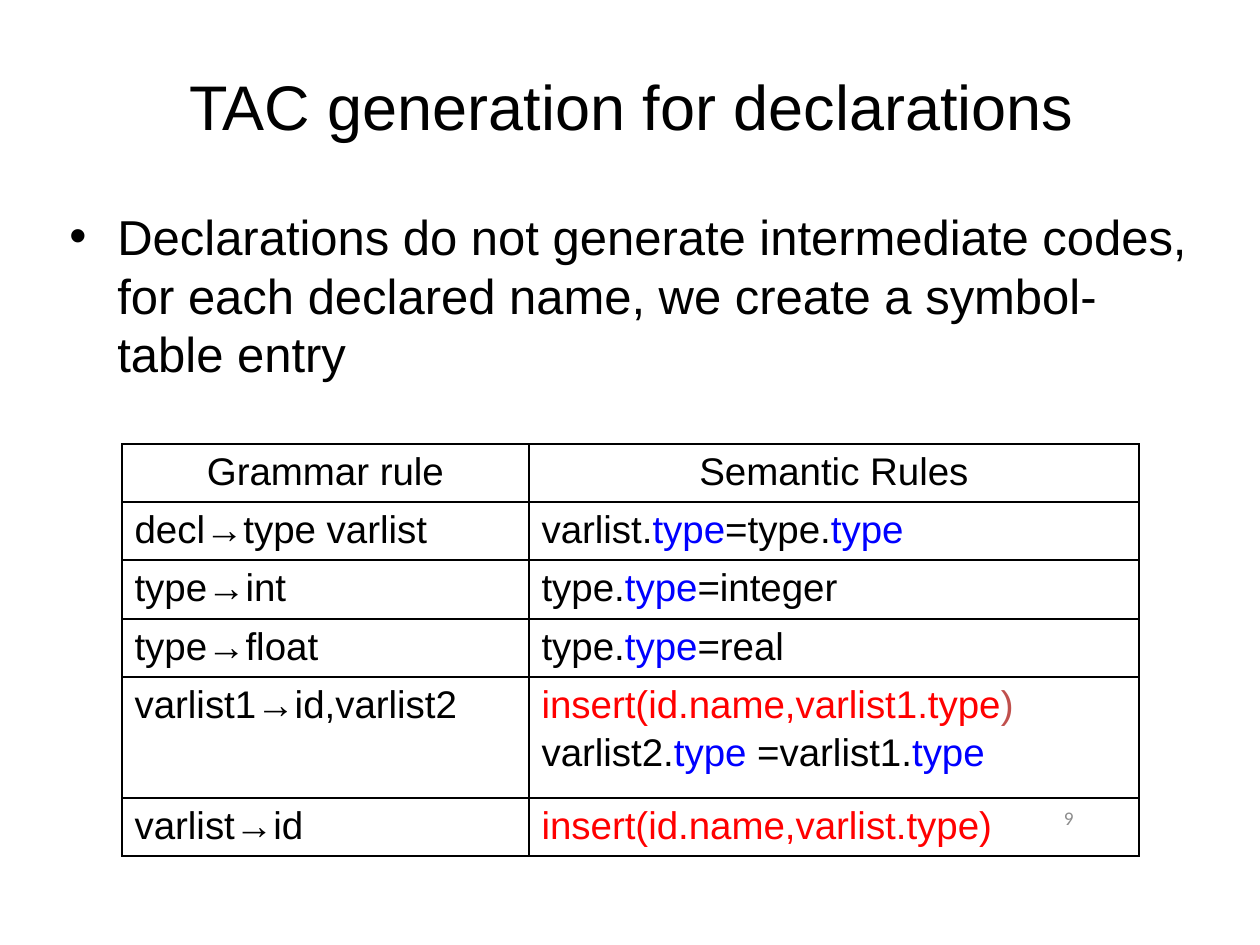
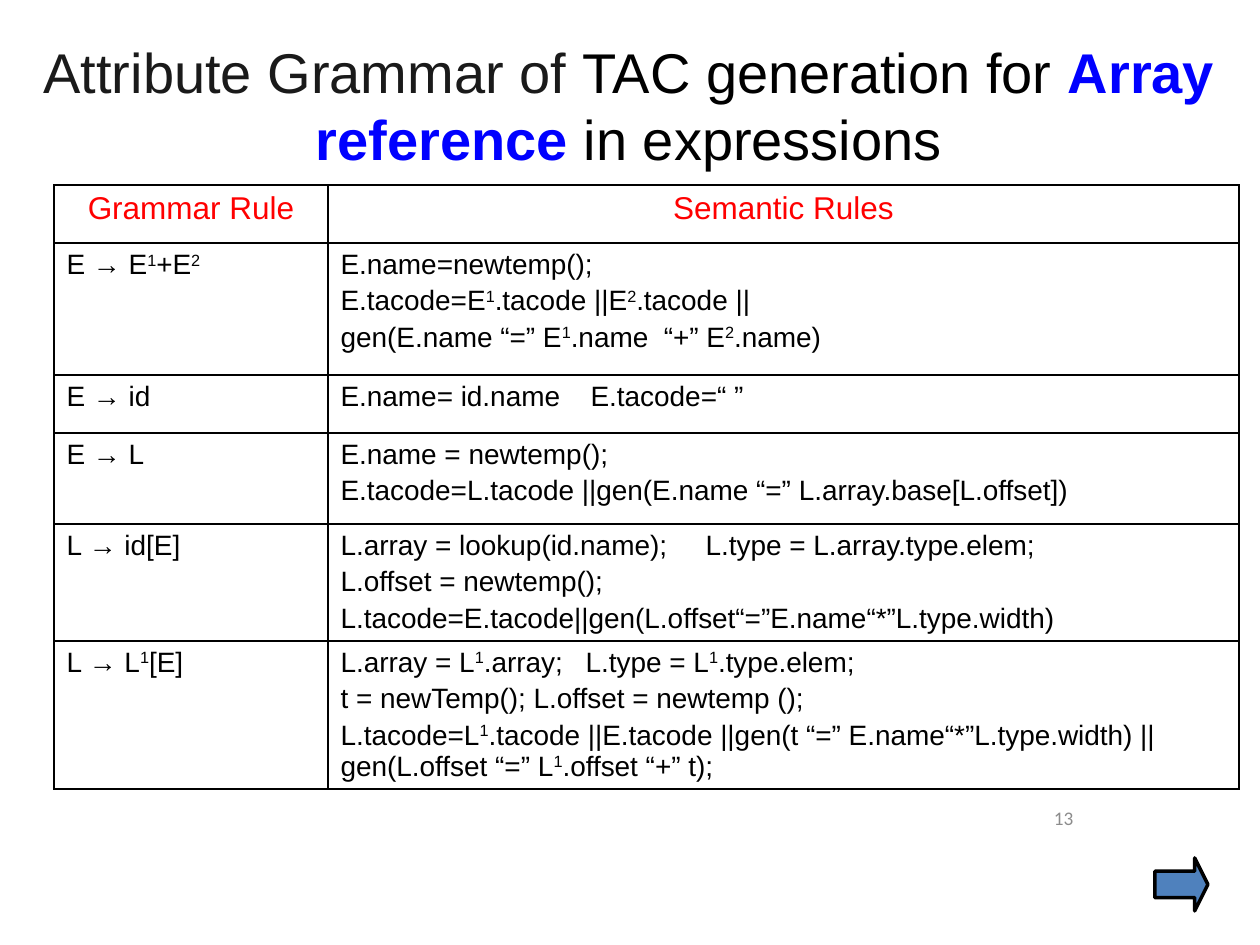
import pptx
import pptx.util
import pptx.dml.color
import pptx.enum.text
import pptx.enum.shapes
import pptx.oxml
import pptx.oxml.ns

HEX = {"black": "000000", "white": "FFFFFF", "blue": "0000FF", "red": "FF0000",
       "rust": "C0504D", "ink": "1A1A1A", "grey": "8C8C8C", "steel": "4F81BD"}
RGB = {name: pptx.dml.color.RGBColor.from_string(code) for name, code in HEX.items()}
NS = pptx.oxml.ns.nsdecls("a")
ALIGN = pptx.enum.text.PP_ALIGN
ANCHOR = pptx.enum.text.MSO_ANCHOR
PX = 914400 / 126


def put(frame, text, size, color="black", align=ALIGN.LEFT, face="Arial",
        anchor=ANCHOR.TOP, bullet=False, tab=0):
    # "~key:words~" sets words in a colour, as "sup" or as "bold"
    frame.word_wrap = True
    frame.vertical_anchor = anchor
    for n, line in enumerate(text.split("\n")):
        para = frame.add_paragraph() if n else frame.paragraphs[0]
        para.alignment = align
        if n:
            para.space_before = pptx.util.Pt(3)
        props = para._p.get_or_add_pPr()
        if bullet:
            props.set("marL", str(round(48 * PX)))
            props.set("indent", str(round(-48 * PX)))
            props.append(pptx.oxml.parse_xml(f'<a:buFont {NS} typeface="Arial"/>'))
            props.append(pptx.oxml.parse_xml(f'<a:buChar {NS} char="•"/>'))
        if "\t" in line:
            props.append(pptx.oxml.parse_xml(
                f'<a:tabLst {NS}><a:tab pos="{round(tab * PX)}" algn="l"/></a:tabLst>'))
        for k, part in enumerate(line.split("~")):
            key, words = part.split(":", 1) if k % 2 else ("", part)
            if not words:
                continue
            run = para.add_run()
            run.text = words
            run.font.name = face
            run.font.size = pptx.util.Pt(size)
            run.font.bold = key == "bold"
            run.font.color.rgb = RGB["blue" if key == "bold" else key if key in RGB else color]
            if key == "sup":
                run._r.get_or_add_rPr().set("baseline", "30000")


def grid(slide, left, top, cols, highs, rows, size, head, tint):
    box = [round(v * PX) for v in (left, top, sum(cols), sum(highs))]
    table = slide.shapes.add_table(len(rows), len(cols), *box).table
    table.first_row = table.horz_banding = False
    for col, wide in zip(table.columns, cols):
        col.width = round(wide * PX)
    for r, (row, high) in enumerate(zip(rows, highs)):
        table.rows[r].height = round(high * PX)
        for c, (text, *tab) in enumerate((v if isinstance(v, tuple) else (v,)) for v in row):
            cell = table.cell(r, c)
            put(cell.text_frame, text, size if r else head, "black" if r else tint,
                ALIGN.LEFT if r else ALIGN.CENTER, tab=tab[0] if tab else 0)
            for side in "LRTB":
                cell._tc.get_or_add_tcPr().append(pptx.oxml.parse_xml(
                    f'<a:ln{side} {NS} w="12700"><a:solidFill>'
                    f'<a:srgbClr val="{HEX["black"]}"/></a:solidFill></a:ln{side}>'))
            cell.fill.solid()
            cell.fill.fore_color.rgb = RGB["white"]


decl = [
    ("Grammar rule", "Semantic Rules"),
    ("decl→type varlist", "varlist.~blue:type~=type.~blue:type~"),
    ("type→int", "type.~blue:type~=integer"),
    ("type→float", "type.~blue:type~=real"),
    ("varlist1→id,varlist2",
     "~red:insert(id.name,varlist1.type~~rust:)~\nvarlist2.~blue:type~ =varlist1.~blue:type~"),
    ("varlist→id", "~red:insert(id.name,varlist.type)~"),
]
array = [
    ("Grammar Rule", "Semantic Rules"),
    ("E → E~sup:1~+E~sup:2~",
     "E.name=newtemp();\nE.tacode=E~sup:1~.tacode ||E~sup:2~.tacode ||\n"
     "gen(E.name “=” E~sup:1~.name  “+” E~sup:2~.name)"),
    ("E → id", ("E.name= id.name\tE.tacode=“ ”", 250)),
    ("E → L",
     "E.name = newtemp();\nE.tacode=L.tacode ||gen(E.name “=” L.array.base[L.offset])"),
    ("L → id[E]",
     ("L.array = lookup(id.name);\tL.type = L.array.type.elem;\nL.offset = newtemp();\n"
      "L.tacode=E.tacode||gen(L.offset“=”E.name“*”L.type.width)", 365)),
    ("L → L~sup:1~[E]",
     ("L.array = L~sup:1~.array;\tL.type = L~sup:1~.type.elem;\n"
      "t = newTemp(); L.offset = newtemp ();\n"
      "L.tacode=L~sup:1~.tacode ||E.tacode ||gen(t “=” E.name“*”L.type.width) ||"
      "gen(L.offset “=” L~sup:1~.offset “+” t);", 245)),
]
plan = [
    ("TAC generation for declarations", 36, 57, 1149, "9",
     (122, 444, (407, 610), (58, 58, 59, 58, 121, 58), decl, 22, 22, "black")),
    ("~ink:Attribute Grammar of ~TAC generation for ~bold:Array reference ~in expressions",
     32, 20, 1218, "13",
     (54, 185, (274, 911), (58, 132, 58, 91, 117, 148), array, 16, 18, "red")),
]

deck = pptx.Presentation()
deck.slide_width, deck.slide_height = round(1260 * PX), round(945 * PX)

for name, size, left, wide, page, spec_row in plan:
    slide = deck.slides.add_slide(deck.slide_layouts[5])
    title = slide.shapes.title
    title.left, title.top, title.width, title.height = [
        round(v * PX) for v in (left, 34, wide, 142)]
    title.text_frame.auto_size = pptx.enum.text.MSO_AUTO_SIZE.NONE
    put(title.text_frame, name, size, align=ALIGN.CENTER, anchor=ANCHOR.MIDDLE)
    grid(slide, *spec_row)
    note = slide.shapes.add_textbox(*[round(v * PX) for v in (819, 795, 267, 45)])
    put(note.text_frame, page, 11, "grey", ALIGN.RIGHT, "Calibri", ANCHOR.MIDDLE)

body = deck.slides[0].shapes.add_textbox(*[round(v * PX) for v in (57, 200, 1149, 200)])
put(body.text_frame, "Declarations do not generate intermediate codes, "
    "for each declared name, we create a symbol-table entry", 28, bullet=True)

arrow = deck.slides[1].shapes.add_shape(
    pptx.enum.shapes.MSO_SHAPE.RIGHT_ARROW, *[round(v * PX) for v in (1155, 858, 53, 53)])
arrow.adjustments[0], arrow.adjustments[1] = 0.5, 0.25
arrow.shadow.inherit = False
arrow.fill.solid()
arrow.fill.fore_color.rgb = RGB["steel"]
arrow.line.color.rgb = RGB["black"]
arrow.line.width = pptx.util.Pt(2)

deck.save("out.pptx")
